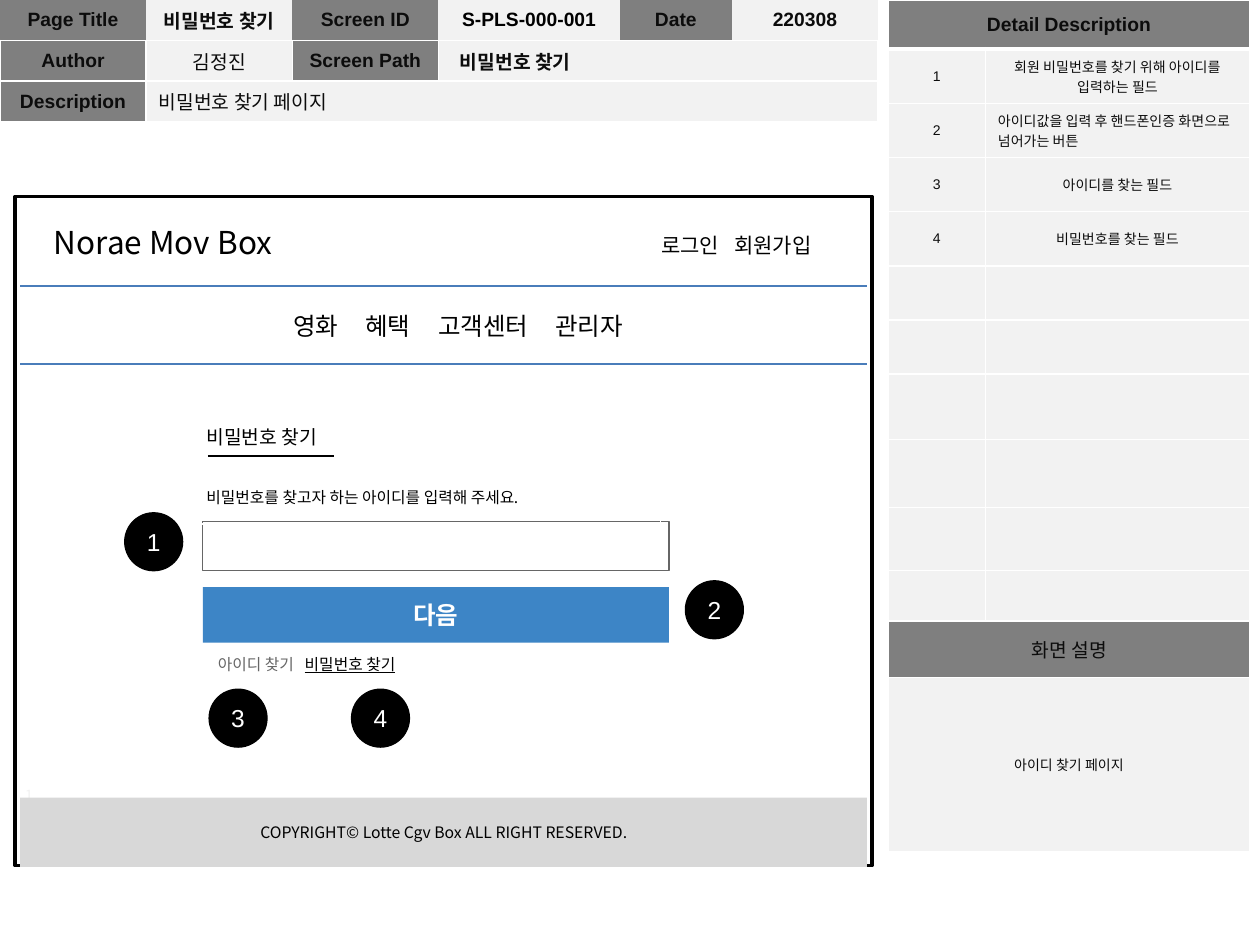
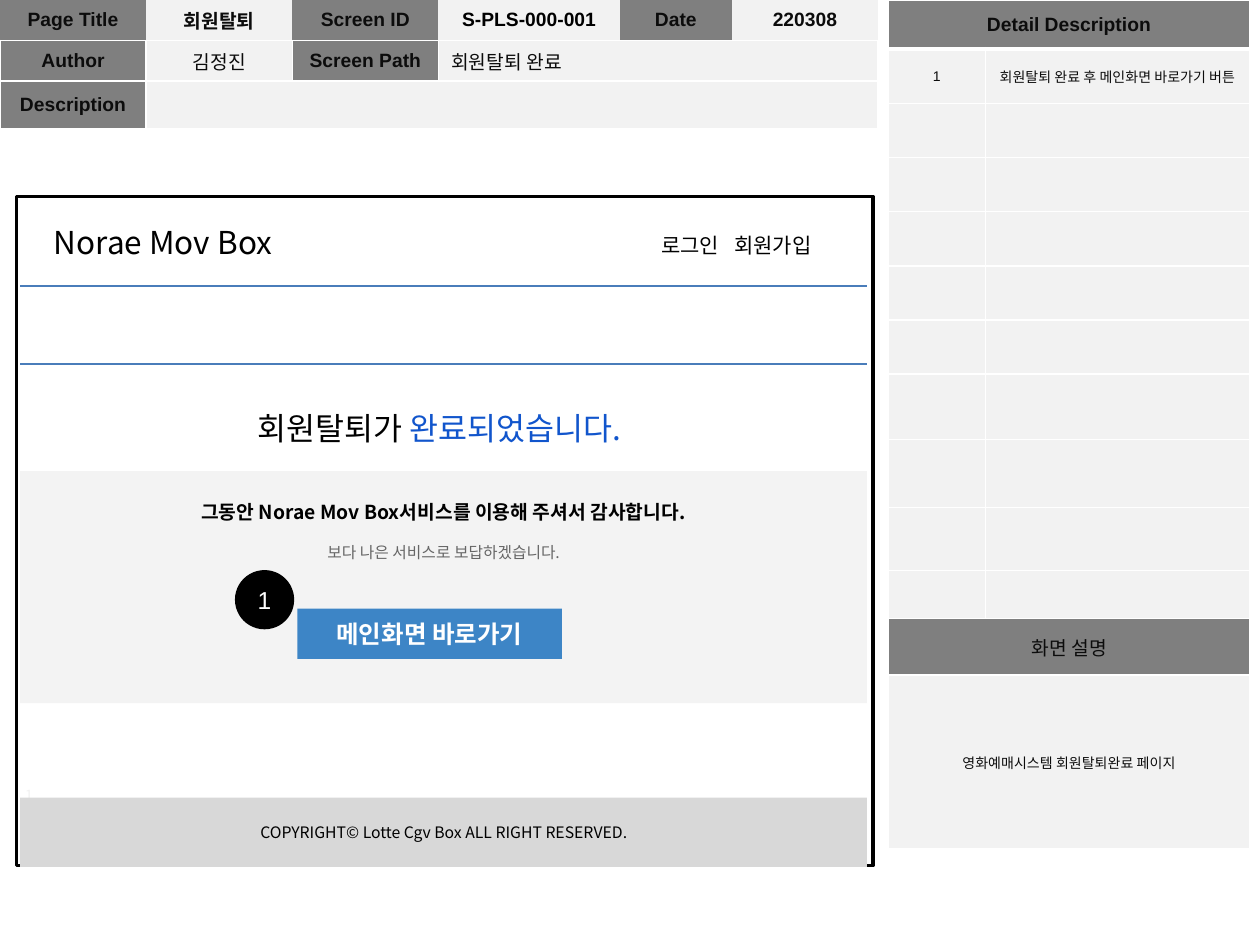
from lxml import etree
from pptx import Presentation
from pptx import util as u
from pptx.dml.color import RGBColor
from pptx.enum import shapes, text
from pptx.oxml import ns

BLACK = RGBColor(0x00, 0x00, 0x00)
WHITE = RGBColor(0xFF, 0xFF, 0xFF)
INK = RGBColor(0x0C, 0x0C, 0x0C)
LABEL = RGBColor(0x7F, 0x7F, 0x7F)
CELL = RGBColor(0xF2, 0xF2, 0xF2)
PANEL = RGBColor(0xF3, 0xF3, 0xF3)
FOOTER = RGBColor(0xD8, 0xD8, 0xD8)
RULE = RGBColor(0x4A, 0x7D, 0xBA)
BUTTON = RGBColor(0x3D, 0x85, 0xC6)
GREY = RGBColor(0x66, 0x66, 0x66)
ACCENT = RGBColor(0x11, 0x55, 0xCC)
ARIAL, NOTO = "Arial", "Noto Sans CJK KR"
PLAIN_TABLE = "{2D5ABB26-0587-4C30-8999-92F81FD0307C}"
LEFT, CENTER = text.PP_ALIGN.LEFT, text.PP_ALIGN.CENTER
TOP, MIDDLE = text.MSO_ANCHOR.TOP, text.MSO_ANCHOR.MIDDLE
RECT, OVAL = shapes.MSO_SHAPE.RECTANGLE, shapes.MSO_SHAPE.OVAL

SITE = "Norae Mov Box"
SCREEN_ID = "S-PLS-000-001"
COPYRIGHT = "COPYRIGHT© Lotte Cgv Box ALL RIGHT RESERVED."
LOGIN = ["로그인", "회원가입"]
MENU = ["영화", "혜택", "고객센터", "관리자"]
INFO_COLS = [1.16, 1.16, 1.16, 1.44, 0.89, 1.16]
DETAIL_COLS = [0.77, 2.1]
DETAIL_ROWS = 10

FIND = {
    "title": "비밀번호 찾기", "path": "비밀번호 찾기", "path_bold": True, "path_inset": 0.17,
    "description": "비밀번호 찾기 페이지", "description_height": 0.32,
    "details": [("회원 비밀번호를 찾기 위해 아이디를 입력하는 필드", CENTER),
                ("아이디값을 입력 후 핸드폰인증 화면으로 넘어가는 버튼", LEFT),
                ("아이디를 찾는 필드", CENTER),
                ("비밀번호를 찾는 필드", CENTER)],
    "last_row": 0.4, "summary": "아이디 찾기 페이지", "frame_left": 0.12,
    "badges": [(0.99, 4.07), (5.44, 4.61), (1.66, 5.47), (2.79, 5.47)],
}
LEAVE = {
    "title": "회원탈퇴", "path": "회원탈퇴 완료", "path_bold": False, "path_inset": 0.1,
    "description": "", "description_height": 0.38,
    "details": [("회원탈퇴 완료 후 메인화면 바로가기 버튼", CENTER)],
    "last_row": 0.38, "summary": "영화예매시스템 회원탈퇴완료 페이지", "frame_left": 0.13,
    "badges": [(1.87, 4.53)],
}


def style(r, size, color=BLACK, font=NOTO, bold=False, underline=False):
    f = r.font
    f.size, f.name, f.bold = u.Pt(size), font, bold
    f.color.rgb = color
    if underline:
        f.underline = True
    etree.SubElement(r._r.get_or_add_rPr(), ns.qn("a:ea")).set("typeface", NOTO)


def write(tf, lines, align=CENTER, anchor=TOP, inset=0.05, tabs=()):
    tf.word_wrap = True
    tf.vertical_anchor = anchor
    tf.margin_left = tf.margin_right = u.Inches(0.1)
    tf.margin_top = tf.margin_bottom = u.Inches(inset)
    for i, runs in enumerate(lines):
        p = tf.paragraphs[0] if i == 0 else tf.add_paragraph()
        p.alignment = align
        if tabs:
            stops = etree.SubElement(p._p.get_or_add_pPr(), ns.qn("a:tabLst"))
            for stop in tabs:
                etree.SubElement(stops, ns.qn("a:tab"), pos=str(u.Inches(stop)), algn="l")
        for words, look in runs:
            r = p.add_run()
            r.text = words
            style(r, **look)


def label(s, at, runs, **layout):
    sp = s.shapes.add_textbox(*map(u.Inches, at))
    write(sp.text_frame, [runs], **layout)


def shape(s, at, kind=RECT, fill=None, line=None, width=0.75):
    sp = s.shapes.add_shape(kind, *map(u.Inches, at))
    sp.shadow.inherit = False
    if fill is None:
        sp.fill.background()
    else:
        sp.fill.solid()
        sp.fill.fore_color.rgb = fill
    if line is None:
        sp.line.fill.background()
    else:
        sp.line.color.rgb = line
        sp.line.width = u.Pt(width)
    return sp


def rule(s, x1, x2, y, color=RULE, width=0.75):
    c = s.shapes.add_connector(shapes.MSO_CONNECTOR.STRAIGHT, *map(u.Inches, (x1, y, x2, y)))
    c.line.color.rgb = color
    c.line.width = u.Pt(width)
    etree.SubElement(c._element.spPr, ns.qn("a:effectLst"))


def button(s, at, words):
    sp = shape(s, at, fill=BUTTON)
    write(sp.text_frame, [[(words, dict(size=14, color=WHITE, bold=True))]], anchor=MIDDLE, inset=0.1)


def table(s, left, cols, rows):
    at = (left, 0, sum(cols), sum(rows))
    t = s.shapes.add_table(len(rows), len(cols), *map(u.Inches, at)).table
    t._tbl.tblPr.find(ns.qn("a:tableStyleId")).text = PLAIN_TABLE
    for col, w in zip(t.columns, cols):
        col.width = u.Inches(w)
    for row, h in zip(t.rows, rows):
        row.height = u.Inches(h)
    return t


def cell(t, row, col, words, size=11, bold=False, fill=CELL, color=INK, align=CENTER,
         span=1, inset=0.1, sides="LRTB", bottom=1):
    c = t.cell(row, col)
    if span > 1:
        c.merge(t.cell(row, col + span - 1))
    c.vertical_anchor = MIDDLE
    c.margin_left = u.Inches(inset)
    p = c.text_frame.paragraphs[0]
    p.alignment = align
    if words:
        p.text = words
        style(p.runs[0], size, color, ARIAL, bold)
    else:
        etree.SubElement(p._p, ns.qn("a:endParaRPr")).set("sz", str(size * 100))
    for k in range(col, col + span):
        part = t.cell(row, k)
        pr = part._tc.get_or_add_tcPr()
        for side in sides:
            weight = bottom if side == "B" else 1
            ln = etree.SubElement(pr, ns.qn("a:ln" + side), w=str(u.Pt(weight)))
            solid = etree.SubElement(ln, ns.qn("a:solidFill"))
            etree.SubElement(solid, ns.qn("a:srgbClr")).set("val", str(WHITE))
        part.fill.solid()
        part.fill.fore_color.rgb = fill


def info_table(s, page):
    t = table(s, 0, INFO_COLS, [0.31, 0.32, page["description_height"]])
    top = ["Page Title", page["title"], "Screen ID", SCREEN_ID, "Date", "220308"]
    for i, words in enumerate(top):
        cell(t, 0, i, words, bold=True, fill=CELL if i % 2 else LABEL,
             color=BLACK if words == SCREEN_ID else INK, sides="B")
    for row, col, words in [(1, 0, "Author"), (1, 2, "Screen Path"), (2, 0, "Description")]:
        cell(t, row, col, words, bold=True, fill=LABEL)
    cell(t, 1, 1, "김정진")
    cell(t, 1, 3, page["path"], bold=page["path_bold"], align=LEFT, span=3, inset=page["path_inset"])
    cell(t, 2, 1, page["description"], align=LEFT, span=5)


def detail_table(s, page):
    rows = [0.39] + [0.43] * 6 + [0.52, 0.54, 0.5, page["last_row"], 0.45, 1.38]
    t = table(s, 7.05, DETAIL_COLS, rows)
    cell(t, 0, 0, "Detail Description", bold=True, fill=LABEL, span=2, bottom=3)
    details = page["details"]
    for i in range(DETAIL_ROWS):
        used = i < len(details)
        words, align = details[i] if used else ("", CENTER)
        cell(t, i + 1, 0, str(i + 1) if used else "", size=8)
        cell(t, i + 1, 1, words, size=8, align=align)
    cell(t, DETAIL_ROWS + 1, 0, "화면 설명", fill=LABEL, span=2)
    cell(t, DETAIL_ROWS + 2, 0, page["summary"], size=8, span=2)


def site_frame(s, page):
    label(s, (0.1, 6.19, 0.26, 0.24), [("1", dict(size=8, color=CELL))])
    shape(s, (page["frame_left"], 1.56, 6.8, 5.31), line=BLACK, width=2)
    label(s, (0.33, 1.72, 2.4, 0.4), [(SITE, dict(size=18))], align=LEFT)
    label(s, (5.15, 1.8, 1.56, 0.3), [("\t".join(LOGIN), dict(size=12))], align=LEFT, tabs=[0.58])
    for y in (2.27, 2.89):
        rule(s, 0.16, 6.88, y)
    sp = shape(s, (0.16, 6.33, 6.72, 0.55), fill=FOOTER)
    write(sp.text_frame, [[(COPYRIGHT, dict(size=9))]], anchor=MIDDLE)


def badges(s, page):
    for n, (x, y) in enumerate(page["badges"], 1):
        sp = shape(s, (x, y, 0.46, 0.46), OVAL, BLACK, BLACK)
        write(sp.text_frame, [[(str(n), dict(size=14, color=WHITE, font=ARIAL))]],
              anchor=MIDDLE, inset=0.1)


def find_body(s):
    label(s, (2.23, 2.42, 3.2, 0.34), [("\t".join(MENU), dict(size=14))],
          align=LEFT, tabs=[0.57, 1.15, 2.08])
    label(s, (1.54, 3.28, 3.56, 0.39), [("비밀번호 찾기", dict(size=11))], align=LEFT, inset=0.1)
    rule(s, 1.65, 2.65, 3.62, BLACK, 1.5)
    shape(s, (1.61, 4.14, 3.7, 0.39), line=GREY)
    prompt = shape(s, (1.54, 3.81, 3.7, 0.35), line=WHITE)
    write(prompt.text_frame, [[("비밀번호를 찾고자 하는 아이디를 입력해 주세요.", dict(size=9))]],
          align=LEFT, inset=0.06)
    button(s, (1.61, 4.66, 3.7, 0.44), "다음")
    label(s, (1.63, 5.12, 1.81, 0.35),
          [("아이디 찾기\t", dict(size=9, color=GREY)),
           ("비밀번호 찾기", dict(size=9, underline=True))],
          align=LEFT, inset=0.1, tabs=[0.69])


def leave_body(s):
    label(s, (1.16, 3.2, 4.65, 0.4),
          [("회원탈퇴가 ", dict(size=18)), ("완료되었습니다.", dict(size=18, color=ACCENT))],
          anchor=MIDDLE)
    tf = shape(s, (0.16, 3.74, 6.72, 1.84), fill=PANEL).text_frame
    write(tf, [[(f"그동안 {SITE}서비스를 이용해 주셔서 감사합니다.", dict(size=11, bold=True))],
               [("보다 나은 서비스로 보답하겠습니다.", dict(size=9, color=GREY))]], inset=0.23)
    tf.paragraphs[1].space_before = u.Pt(11)
    button(s, (2.36, 4.83, 2.1, 0.4), "메인화면 바로가기")


def main():
    prs = Presentation()
    prs.slide_width, prs.slide_height = u.Inches(10), u.Inches(7.5)
    for page, body in [(FIND, find_body), (LEAVE, leave_body)]:
        s = prs.slides.add_slide(prs.slide_layouts[6])
        info_table(s, page)
        detail_table(s, page)
        site_frame(s, page)
        body(s)
        badges(s, page)
    prs.save("out.pptx")


if __name__ == "__main__":
    main()
